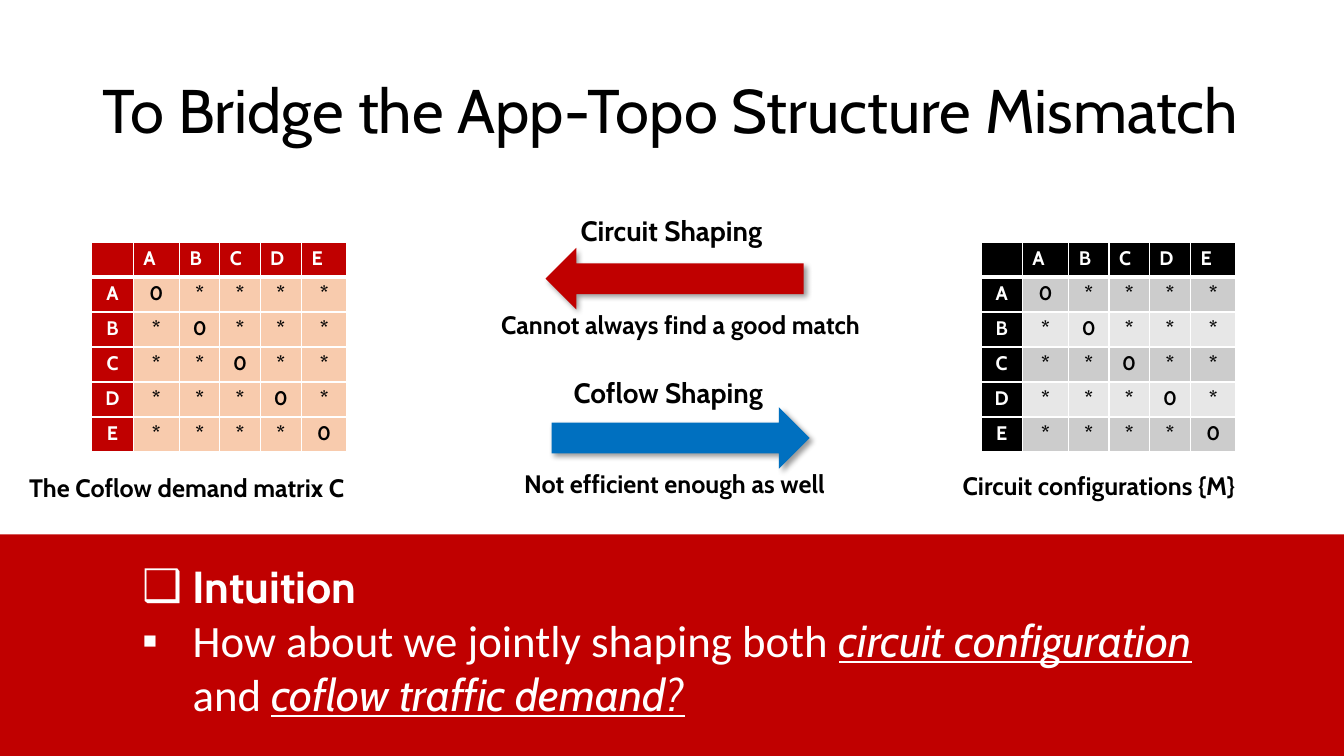
from dataclasses import dataclass

from lxml.etree import SubElement
from pptx import Presentation
from pptx.dml.color import RGBColor as RGB
from pptx.enum.shapes import MSO_SHAPE as SHAPE
from pptx.enum.text import MSO_ANCHOR as ANCHOR, MSO_AUTO_SIZE as FIT, PP_ALIGN as ALIGN
from pptx.oxml import parse_xml
from pptx.oxml.ns import nsdecls, qn
from pptx.util import Inches, Pt

HUES = {"red": "C00000", "blue": "0070C0", "peach": "F8CBAD", "black": "000000",
        "white": "FFFFFF", "gray": "CCCCCC", "pale": "E7E7E7"}
WIDE, HIGH = Inches(13.33), Inches(7.5)
NODES = "ABCDE"
COLS = (3.08, 3.45, 3, 3, 3.08, 3.38)
ROW = 4.63


@dataclass
class Box:
    """Left, top, width and height in percent of the slide."""
    left: float
    top: float
    width: float
    height: float

    def lengths(self) -> tuple[int, int, int, int]:
        return across(self.left), down(self.top), across(self.width), down(self.height)


@dataclass
class Label:
    text: str
    box: Box
    size: int = 18
    align: ALIGN = ALIGN.LEFT
    wrap: bool = True


@dataclass
class Arrow:
    box: Box
    hue: str
    turn: int


@dataclass
class Matrix:
    left: float
    head: str
    bands: tuple[str, str]


@dataclass
class Part:
    text: str
    font: str = "Cabin"
    bold: bool = False
    stress: bool = False


LABELS = (
    Label("The Coflow demand matrix C", Box(1.43, 61.87, 43.2, 5.33)),
    Label("Circuit configurations {M}", Box(70.89, 61.6, 29.11, 5.33)),
    Label("Cannot always find a good match", Box(32.78, 40.27, 35.71, 5.33), align=ALIGN.CENTER),
    Label("Not efficient enough as well", Box(32.33, 61.33, 35.71, 5.33), align=ALIGN.CENTER),
    Label("Circuit Shaping", Box(42.46, 27.6, 17.18, 5.87), 20, wrap=False),
    Label("Coflow Shaping", Box(41.94, 49.07, 17.33, 5.87), 20, wrap=False),
)
ARROWS = (
    Arrow(Box(41.04, 53.87, 19.2, 8.13), "blue", 0),
    Arrow(Box(40.59, 32.8, 19.2, 8.13), "red", 180),
)
MATRICES = (
    Matrix(72.99, "black", ("gray", "pale")),
    Matrix(6.83, "red", ("peach", "peach")),
)
POINTS = (
    ("❑", (Part("Intuition", bold=True),)),
    ("▪", (Part("How about we jointly shaping both ", "Calibri"),
           Part("circuit configuration", stress=True),
           Part(" and ", "Calibri"),
           Part("coflow traffic demand?", stress=True))),
)


def across(share: float) -> int:
    return round(WIDE * share / 100)


def down(share: float) -> int:
    return round(HIGH * share / 100)


def color(name: str) -> RGB:
    return RGB.from_string(HUES[name])


def style(font, size: int, hue: str, bold: bool = False, name: str = "Cabin") -> None:
    font.name, font.size, font.bold = name, Pt(size), bold
    font.color.rgb = color(hue)


def paint(shape, hue: str) -> None:
    shape.fill.solid()
    shape.fill.fore_color.rgb = color(hue)


def place(shape, box: Box) -> None:
    shape.left, shape.top, shape.width, shape.height = box.lengths()


def add_label(slide, label: Label) -> None:
    frame = slide.shapes.add_textbox(*label.box.lengths()).text_frame
    frame.word_wrap = label.wrap
    frame.text = label.text
    line = frame.paragraphs[0]
    line.alignment = label.align
    style(line.runs[0].font, label.size, "black", True)


def add_arrow(slide, arrow: Arrow) -> None:
    shape = slide.shapes.add_shape(SHAPE.RIGHT_ARROW, *arrow.box.lengths())
    shape.rotation = arrow.turn
    paint(shape, arrow.hue)
    shape.line.fill.background()
    shape.shadow.inherit = False
    cast = parse_xml(
        f'<a:outerShdw {nsdecls("a")} blurRad="{Pt(4)}" dist="{Pt(3)}" dir="2700000" '
        f'algn="tl" rotWithShape="0"><a:srgbClr val="{HUES["black"]}">'
        '<a:alpha val="40000"/></a:srgbClr></a:outerShdw>')
    shape._element.spPr.find(qn("a:effectLst")).append(cast)


def edge(cell, row: int) -> None:
    """Draw white cell borders, thick below the header row."""
    props = cell._tc.get_or_add_tcPr()
    widths = {"L": 1, "R": 1, "T": 3 if row == 1 else 1, "B": 3 if row == 0 else 1}
    for side, width in widths.items():
        line = SubElement(props, qn(f"a:ln{side}"), w=str(Pt(width)))
        fill = SubElement(line, qn("a:solidFill"))
        SubElement(fill, qn("a:srgbClr"), val=HUES["white"])


def add_matrix(slide, matrix: Matrix) -> None:
    count = len(COLS)
    box = Box(matrix.left, 32, sum(COLS), ROW * count)
    table = slide.shapes.add_table(count, count, *box.lengths()).table
    table.first_row = table.horz_banding = False
    for col, share in zip(table.columns, COLS):
        col.width = across(share)
    for i, row in enumerate(table.rows):
        row.height = down(ROW)
        for j, cell in enumerate(row.cells):
            head = i == 0 or j == 0
            edge(cell, i)
            paint(cell, matrix.head if head else matrix.bands[(i - 1) % 2])
            if i == j == 0:
                cell.margin_top = cell.margin_bottom = 0
                continue
            cell.text = NODES[max(i, j) - 1] if head else "0" if i == j else "*"
            line = cell.text_frame.paragraphs[0]
            line.alignment = ALIGN.CENTER if i else ALIGN.LEFT
            style(line.runs[0].font, 14, "white" if head else "black", True)


def add_points(body) -> None:
    frame = body.text_frame
    frame.auto_size, frame.vertical_anchor = FIT.NONE, ANCHOR.MIDDLE
    for k, (mark, parts) in enumerate(POINTS):
        line = frame.add_paragraph() if k else frame.paragraphs[0]
        props = line._p.get_or_add_pPr()
        props.set("marL", str(Inches(0.5)))
        props.set("indent", str(-Inches(0.5)))
        SubElement(props, qn("a:buChar"), char=mark)
        line.space_before = Pt(0)
        for part in parts:
            run = line.add_run()
            run.text = part.text
            style(run.font, 32, "white", part.bold, part.font)
            run.font.italic = run.font.underline = part.stress


def main() -> None:
    deck = Presentation()
    deck.slide_width, deck.slide_height = WIDE, HIGH
    slide = deck.slides.add_slide(deck.slide_layouts[1])
    title, body = slide.placeholders

    band = slide.shapes.add_shape(SHAPE.RECTANGLE, *Box(0, 70.67, 100, 29.33).lengths())
    paint(band, "red")
    band.line.fill.background()
    band.shadow.inherit = False
    slide.shapes._spTree.append(body._element)  # the list lies above the band

    place(title, Box(6.9, 5.33, 86.27, 19.33))
    title.text_frame.text = "To Bridge the App-Topo Structure Mismatch"
    title.text_frame.auto_size = FIT.NONE
    title.text_frame.vertical_anchor = ANCHOR.MIDDLE
    head = title.text_frame.paragraphs[0]
    head.alignment, head.line_spacing = ALIGN.LEFT, 0.9
    style(head.runs[0].font, 44, "black")

    place(body, Box(9.83, 74.93, 80.5, 19.33))
    paint(body, "red")
    add_points(body)
    for arrow in ARROWS:
        add_arrow(slide, arrow)
    for label in LABELS:
        add_label(slide, label)
    for matrix in MATRICES:
        add_matrix(slide, matrix)
    deck.save("out.pptx")


if __name__ == "__main__":
    main()
